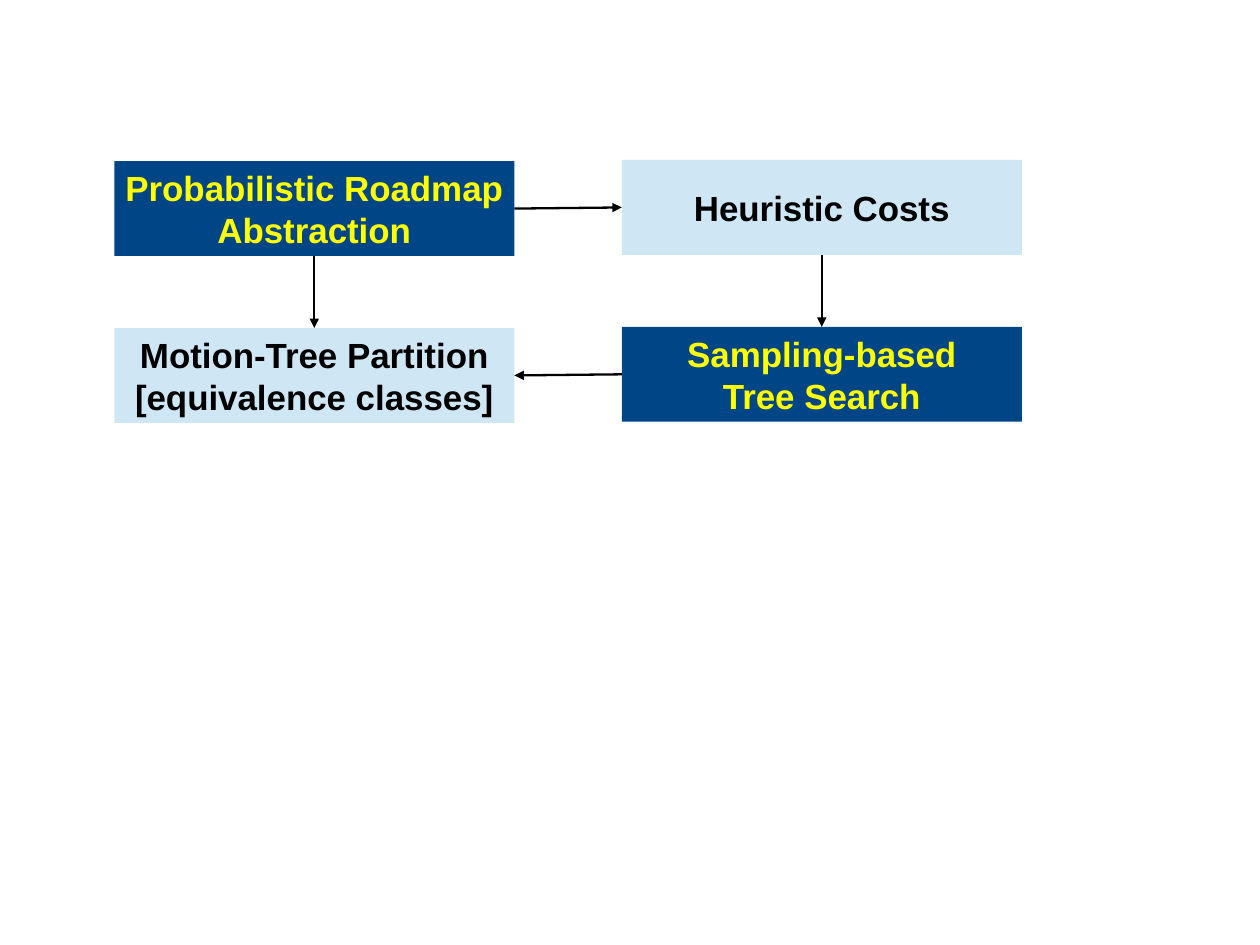
from lxml import etree
from pptx import Presentation
from pptx.dml.color import RGBColor
from pptx.enum.shapes import MSO_CONNECTOR, MSO_SHAPE
from pptx.enum.text import MSO_ANCHOR, PP_ALIGN
from pptx.oxml.ns import qn
from pptx.util import Cm, Inches, Pt

RECTANGLE = MSO_SHAPE.RECTANGLE
STRAIGHT = MSO_CONNECTOR.STRAIGHT
MIDDLE = MSO_ANCHOR.MIDDLE
CENTER = PP_ALIGN.CENTER

# Connection sites of a rectangle
TOP, LEFT, BOTTOM, RIGHT = range(4)

COLORS = {
    "navy": "004586",
    "pale": "CFE7F5",
    "yellow": "FFFF00",
    "black": "000000",
}
BOX_STYLES = {"process": ("navy", "yellow"), "data": ("pale", "black")}


def color(name):
    return RGBColor.from_string(COLORS[name])


class FlowDiagram:
    font_name = "Arial"
    font_size = Pt(22)
    line_width = Pt(1.45)
    origin = (1, 1.41)
    pitch = (4.44, 1.46)
    box_size = (3.5, 0.83)
    column_rise = 0.01

    def __init__(self, slide):
        self.slide = slide

    def box(self, column, row, style, lines):
        """Place a box on the grid; each column sits slightly higher than the last."""
        left = self.origin[0] + column * self.pitch[0]
        top = self.origin[1] + row * self.pitch[1] - column * self.column_rise
        width, height = self.box_size
        shape = self.slide.shapes.add_shape(
            RECTANGLE, Inches(left), Inches(top), Inches(width), Inches(height))
        fill_color, text_color = BOX_STYLES[style]
        shape.shadow.inherit = False
        shape.fill.solid()
        shape.fill.fore_color.rgb = color(fill_color)
        shape.line.fill.background()
        frame = shape.text_frame
        frame.word_wrap = False
        frame.vertical_anchor = MIDDLE
        frame.text = "\n".join(lines)
        for paragraph in frame.paragraphs:
            paragraph.alignment = CENTER
            font = paragraph.font
            font.name = self.font_name
            font.size = self.font_size
            font.bold = True
            font.color.rgb = color(text_color)
        return shape

    def arrow(self, source, source_site, target, target_site):
        connector = self.slide.shapes.add_connector(STRAIGHT, 0, 0, 0, 0)
        connector.begin_connect(source, source_site)
        connector.end_connect(target, target_site)
        connector.line.width = self.line_width
        connector.line.color.rgb = color("black")
        properties = connector.element.spPr
        outline = properties.find(qn("a:ln"))
        etree.SubElement(outline, qn("a:tailEnd"), type="triangle")
        etree.SubElement(properties, qn("a:effectLst"))


def main():
    presentation = Presentation()
    presentation.slide_width = Cm(28)
    presentation.slide_height = Cm(21)
    blank_layout = presentation.slide_layouts[6]
    diagram = FlowDiagram(presentation.slides.add_slide(blank_layout))

    partition = diagram.box(0, 1, "data", ["Motion-Tree Partition", "[equivalence classes]"])
    search = diagram.box(1, 1, "process", ["Sampling-based", "Tree Search"])
    costs = diagram.box(1, 0, "data", ["Heuristic Costs"])
    roadmap = diagram.box(0, 0, "process", ["Probabilistic Roadmap", "Abstraction"])

    diagram.arrow(roadmap, BOTTOM, partition, TOP)
    diagram.arrow(search, LEFT, partition, RIGHT)
    diagram.arrow(roadmap, RIGHT, costs, LEFT)
    diagram.arrow(costs, BOTTOM, search, TOP)

    presentation.save("out.pptx")


if __name__ == "__main__":
    main()
